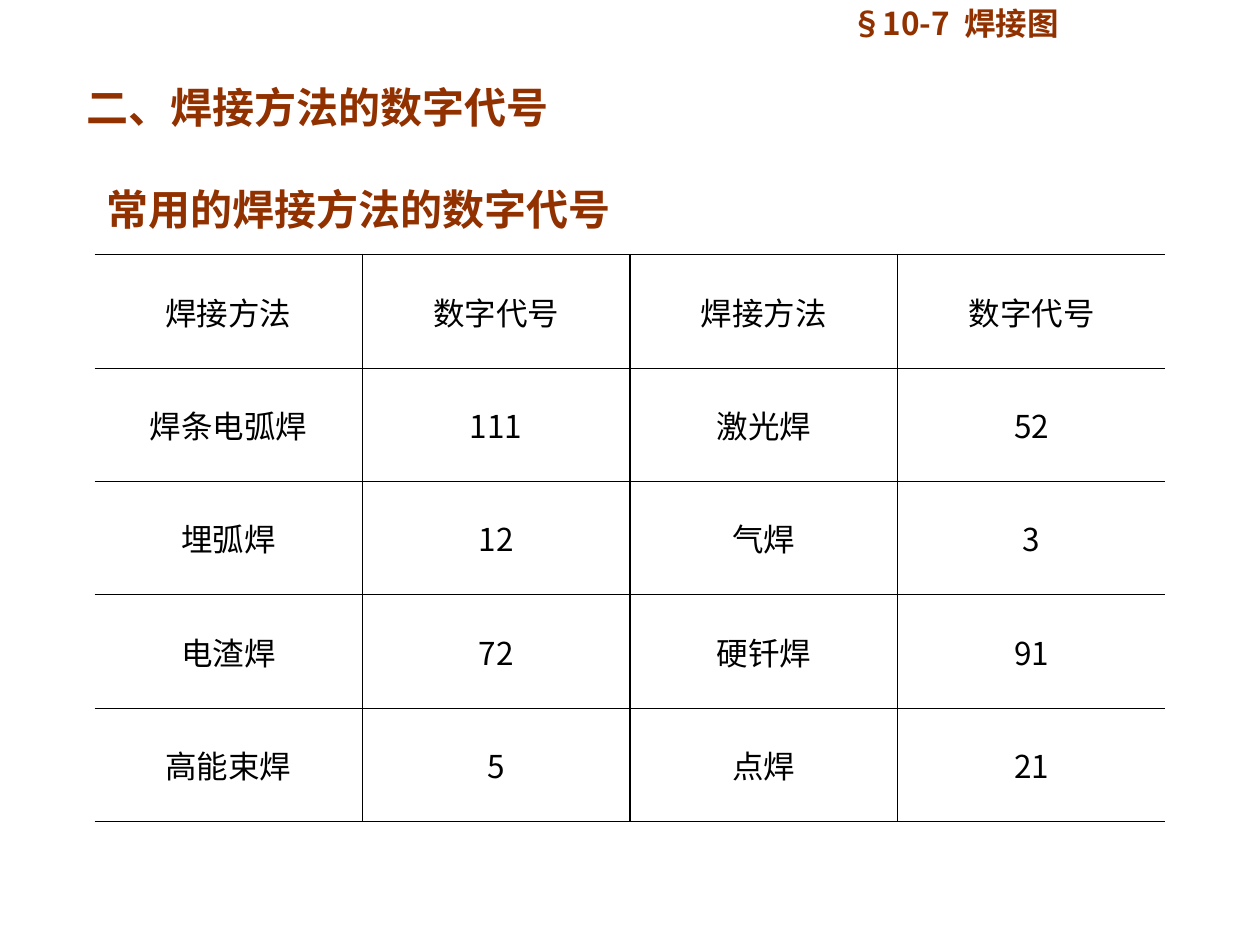
from lxml import etree
from pptx import Presentation
from pptx.dml.color import RGBColor
from pptx.enum import text
from pptx.oxml import ns
from pptx.util import Inches, Pt

THEME = {
    "font": "Noto Sans CJK SC",
    "accent": "923100",
    "ink": "000000",
    "heading": 24,
    "body": 18,
    "thin": 0.45,
    "thick": 0.96,
}

TITLE = "常用的焊接方法的数字代号"
CHAPTER = "§10-7  焊接图"
SECTION = "二、焊接方法的数字代号"
CODES = [
    ("焊接方法", "数字代号", "焊接方法", "数字代号"),
    ("焊条电弧焊", "111", "激光焊", "52"),
    ("埋弧焊", "12", "气焊", "3"),
    ("电渣焊", "72", "硬钎焊", "91"),
    ("高能束焊", "5", "点焊", "21"),
]
TABLE_AREA = (0.75, 2.02, 8.5, 4.5)


def add_span(para, words, size, color, bold=False):
    span = para.add_run()
    span.text = words
    span.font.size = Pt(size)
    span.font.bold = bold
    span.font.name = THEME["font"]
    span.font.color.rgb = RGBColor.from_string(color)
    east_asian = etree.Element(ns.qn("a:ea"), typeface=THEME["font"])
    span.font._element.find(ns.qn("a:latin")).addnext(east_asian)


def add_label(page, area, words, size, anchor):
    frame = page.shapes.add_textbox(*map(Inches, area)).text_frame
    frame.word_wrap = True
    frame.vertical_anchor = anchor
    para = frame.paragraphs[0]
    add_span(para, words, size, THEME["accent"], bold=True)
    return frame, para


def set_border(cell, side, width):
    properties = cell._tc.get_or_add_tcPr()
    line = etree.SubElement(properties, ns.qn(f"a:ln{side}"), w=str(Pt(width)))
    if width:
        fill = etree.SubElement(line, ns.qn("a:solidFill"))
        etree.SubElement(fill, ns.qn("a:srgbClr"), val=THEME["ink"])
    else:
        etree.SubElement(line, ns.qn("a:noFill"))


def add_code_table(page):
    thin, thick = THEME["thin"], THEME["thick"]
    row_count, column_count = len(CODES), len(CODES[0])
    row_lines = [thick] + [thin] * (row_count - 1) + [thick]
    column_lines = [0, thin, thick, thin, 0]
    frame = page.shapes.add_table(row_count, column_count, *map(Inches, TABLE_AREA))
    table = frame.table
    table.first_row = table.horz_banding = False
    for r, row in enumerate(CODES):
        for c, words in enumerate(row):
            cell = table.cell(r, c)
            set_border(cell, "L", column_lines[c])
            set_border(cell, "R", column_lines[c + 1])
            set_border(cell, "T", row_lines[r])
            set_border(cell, "B", row_lines[r + 1])
            cell.fill.background()
            cell.vertical_anchor = text.MSO_ANCHOR.MIDDLE
            para = cell.text_frame.paragraphs[0]
            para.alignment = text.PP_ALIGN.CENTER
            add_span(para, words, THEME["body"], THEME["ink"])


def main():
    deck = Presentation()
    deck.slide_width, deck.slide_height = Inches(10), Inches(7.5)
    page = deck.slides.add_slide(deck.slide_layouts[6])
    middle, top = text.MSO_ANCHOR.MIDDLE, text.MSO_ANCHOR.TOP

    add_label(page, (0.75, 1.39, 8.5, 0.53), TITLE, THEME["heading"], middle)
    add_code_table(page)
    _, para = add_label(page, (5.16, 0, 4.84, 0.42), CHAPTER, THEME["body"], middle)
    para.alignment = text.PP_ALIGN.CENTER
    para.line_spacing = 0.8
    frame, _ = add_label(page, (0.59, 0.6, 3.94, 0.5), SECTION, THEME["heading"], top)
    frame.auto_size = text.MSO_AUTO_SIZE.SHAPE_TO_FIT_TEXT

    deck.save("out.pptx")


if __name__ == "__main__":
    main()
